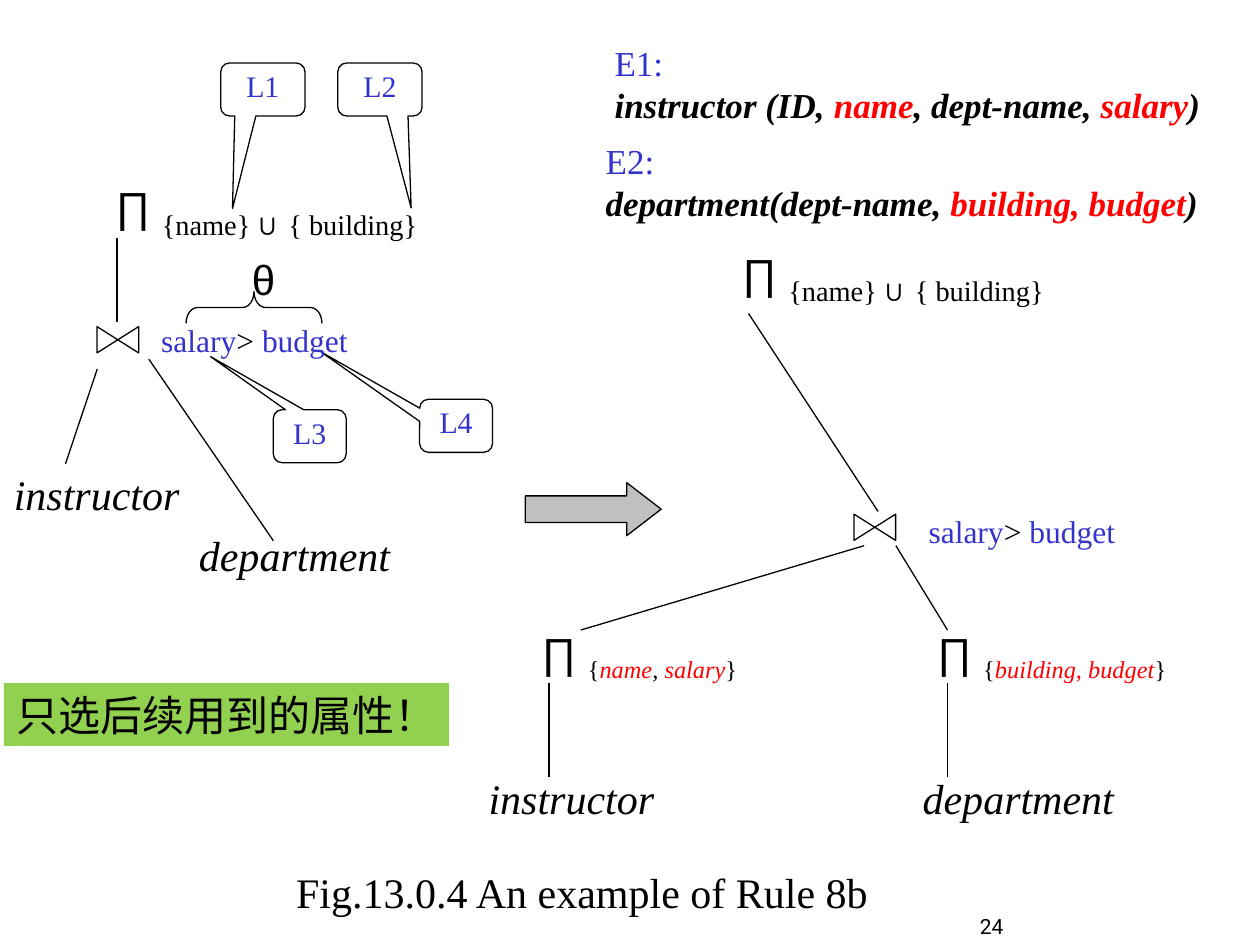
from lxml import etree
from pptx import Presentation
from pptx import util as u
from pptx.dml.color import RGBColor
from pptx.enum import shapes, text
from pptx.oxml.ns import qn

COLORS = {"black": "000000", "blue": "3333CC", "red": "FF0000",
          "gray": "C0C0C0", "green": "92D050"}
SERIF, SANS, UI = "Times New Roman", "Arial", "Roboto"

UNION = [("∏ ", {"f": SANS}), ("{name} ", {"sz": 28, "base": -25}),
         ("∪", {"sz": 28, "f": SANS, "base": -25}), (" ", {}),
         ("{ building}", {"sz": 28, "base": -25})]
THETA = [("salary", {"sz": 18, "c": "blue"}), ("> ", {"sz": 18}),
         ("budget", {"sz": 18, "c": "blue"})]
SUB = {"base": -25}
SUB_RED = {"base": -25, "c": "red", "i": True}
HEAD = {"sz": 20, "c": "blue"}
BOLD = {"sz": 20, "b": True, "i": True}
BOLD_RED = {**BOLD, "c": "red"}
ITALIC = {"i": True}

PROJECTIONS = [
    ((0.81, 3.38, 8.18, 2.79), UNION),
    ((13.44, 4.72, 8.18, 2.79), UNION),
    ((9.40, 12.50, 5.94, 2.44), [("∏ ", {"f": SANS}), ("{", SUB), ("name", SUB_RED),
                                 (", ", {**SUB, "i": True}), ("salary", SUB_RED), ("}", SUB)]),
    ((17.37, 12.50, 6.63, 2.44), [("∏ ", {"f": SANS}), ("{", SUB),
                                  ("building, budget", SUB_RED), ("}", SUB)]),
]
LABELS = [
    ((0.03, 9.32, 3.84, 1.27), [[("instructor", ITALIC)]]),
    ((3.76, 10.54, 4.70, 1.27), [[("department", ITALIC)]]),
    ((9.60, 15.44, 3.84, 1.27), [[("instructor", ITALIC)]]),
    ((18.35, 15.44, 4.70, 1.27), [[("department", ITALIC)]]),
    ((3.00, 6.35, 4.27, 1.02), [THETA]),
    ((18.47, 10.19, 4.27, 1.02), [THETA]),
    ((4.83, 4.98, 0.94, 1.27), [[("θ", {"f": SANS})]]),
    ((12.14, 0.71, 12.47, 1.96), [
        [("E1:", HEAD)],
        [("instructor (ID, ", BOLD), ("name", BOLD_RED), (", dept-name, ", BOLD),
         ("salary", BOLD_RED), (")", BOLD)]]),
    ((11.96, 2.69, 13.28, 1.96), [
        [("E2:", HEAD)],
        [("department(dept-name, ", BOLD), ("building, budget", BOLD_RED), (")", BOLD)]]),
    ((5.72, 17.35, 12.07, 1.27), [[("Fig.13.0.4 An example of Rule 8b", {})]]),
]
EDGES = [
    (2.36, 4.80, 2.36, 6.50), (1.96, 7.44, 1.32, 9.35), (3.00, 7.24, 5.51, 10.90),
    (15.09, 6.32, 17.70, 10.31), (17.42, 11.00, 11.71, 12.70),
    (18.06, 11.00, 19.10, 12.70), (11.07, 13.77, 11.07, 15.67),
    (19.10, 13.77, 19.10, 15.67),
]
JOINS = [(2.11, 6.43), (17.37, 10.21)]
CALLOUTS = [
    ("L1", (4.45, 1.27, 1.70, 1.07), (-0.36, 2.24)),
    ("L2", (6.81, 1.27, 1.70, 1.07), (0.37, 2.23)),
    ("L4", (8.46, 8.05, 1.47, 1.07), (-1.85, -1.39)),
    ("L3", (5.51, 8.26, 1.47, 1.07), (-1.36, -1.50)),
]


def cm(values):
    return [u.Cm(v) for v in values]


def rgb(name):
    return RGBColor.from_string(COLORS[name])


def write(p, runs):
    for content, style in runs:
        r = p.add_run()
        r.text = content
        r.font.size = u.Pt(style.get("sz", 24))
        r.font.name = style.get("f", SERIF)
        r.font.color.rgb = rgb(style.get("c", "black"))
        r.font.bold = style.get("b", False)
        r.font.italic = style.get("i", False)
        if "base" in style:
            r.font._element.set("baseline", str(style["base"] * 1000))


def add_text(s, box, paragraphs, wrap=False):
    tf = s.shapes.add_textbox(*cm(box)).text_frame
    tf.word_wrap = wrap
    for i, runs in enumerate(paragraphs):
        write(tf.paragraphs[0] if i == 0 else tf.add_paragraph(), runs)
    return tf


def add_shape(s, kind, box, fill=None, line=True, adjust=(), rotation=0):
    sp = s.shapes.add_shape(kind, *cm(box))
    sp.shadow.inherit = False
    sp.rotation = rotation
    for i, value in enumerate(adjust):
        sp.adjustments[i] = value
    if fill:
        sp.fill.solid()
        sp.fill.fore_color.rgb = rgb(fill)
    else:
        sp.fill.background()
    if line:
        sp.line.color.rgb = rgb("black")
        sp.line.width = u.Pt(0.75)
    else:
        sp.line.fill.background()
    return sp


def add_edge(s, ends):
    c = s.shapes.add_connector(shapes.MSO_CONNECTOR.STRAIGHT, *cm(ends))
    c.line.color.rgb = rgb("black")
    c.line.width = u.Pt(0.75)
    etree.SubElement(c._element.spPr, qn("a:effectLst"))


def main():
    prs = Presentation()
    prs.slide_width, prs.slide_height = cm((25.4, 19.05))
    s = prs.slides.add_slide(prs.slide_layouts[6])
    kinds = shapes.MSO_SHAPE

    for box, runs in PROJECTIONS:
        p = add_text(s, box, [runs]).paragraphs[0]
        p._p.get_or_add_pPr().set("marL", str(u.Cm(1.27)))
    for ends in EDGES:
        add_edge(s, ends)
    for left, top in JOINS:
        add_shape(s, kinds.FLOWCHART_COLLATE, (left, top, 0.53, 0.84), rotation=90)
    add_shape(s, kinds.RIGHT_ARROW, (10.59, 9.73, 2.74, 1.07), "gray", adjust=(0.5, 0.65))
    add_shape(s, kinds.LEFT_BRACE, (4.80, 4.83, 0.64, 2.74), adjust=(0.36, 0.5), rotation=90)

    for name, box, tip in CALLOUTS:
        sp = add_shape(s, kinds.ROUNDED_RECTANGULAR_CALLOUT, box, adjust=(*tip, 0.17))
        tf = sp.text_frame
        tf.vertical_anchor = text.MSO_ANCHOR.TOP
        p = tf.paragraphs[0]
        p.alignment = text.PP_ALIGN.CENTER
        p.line_spacing = 0.9
        write(p, [(name, {"sz": 17, "c": "blue"})])

    for box, paragraphs in LABELS:
        add_text(s, box, paragraphs)

    note = add_shape(s, kinds.RECTANGLE, (0.08, 13.77, 8.97, 1.27), "green", line=False)
    tf = note.text_frame
    tf.word_wrap = False
    tf.vertical_anchor = text.MSO_ANCHOR.TOP
    tf.paragraphs[0].alignment = text.PP_ALIGN.LEFT
    write(tf.paragraphs[0], [("只选后续用到的属性！", {"f": UI})])

    tf = add_text(s, (17.35, 17.78, 5.28, 1.27), [[("24", {"sz": 12, "f": UI})]], wrap=True)
    tf.vertical_anchor = text.MSO_ANCHOR.BOTTOM
    tf.paragraphs[0].alignment = text.PP_ALIGN.CENTER

    prs.save("out.pptx")


if __name__ == "__main__":
    main()
